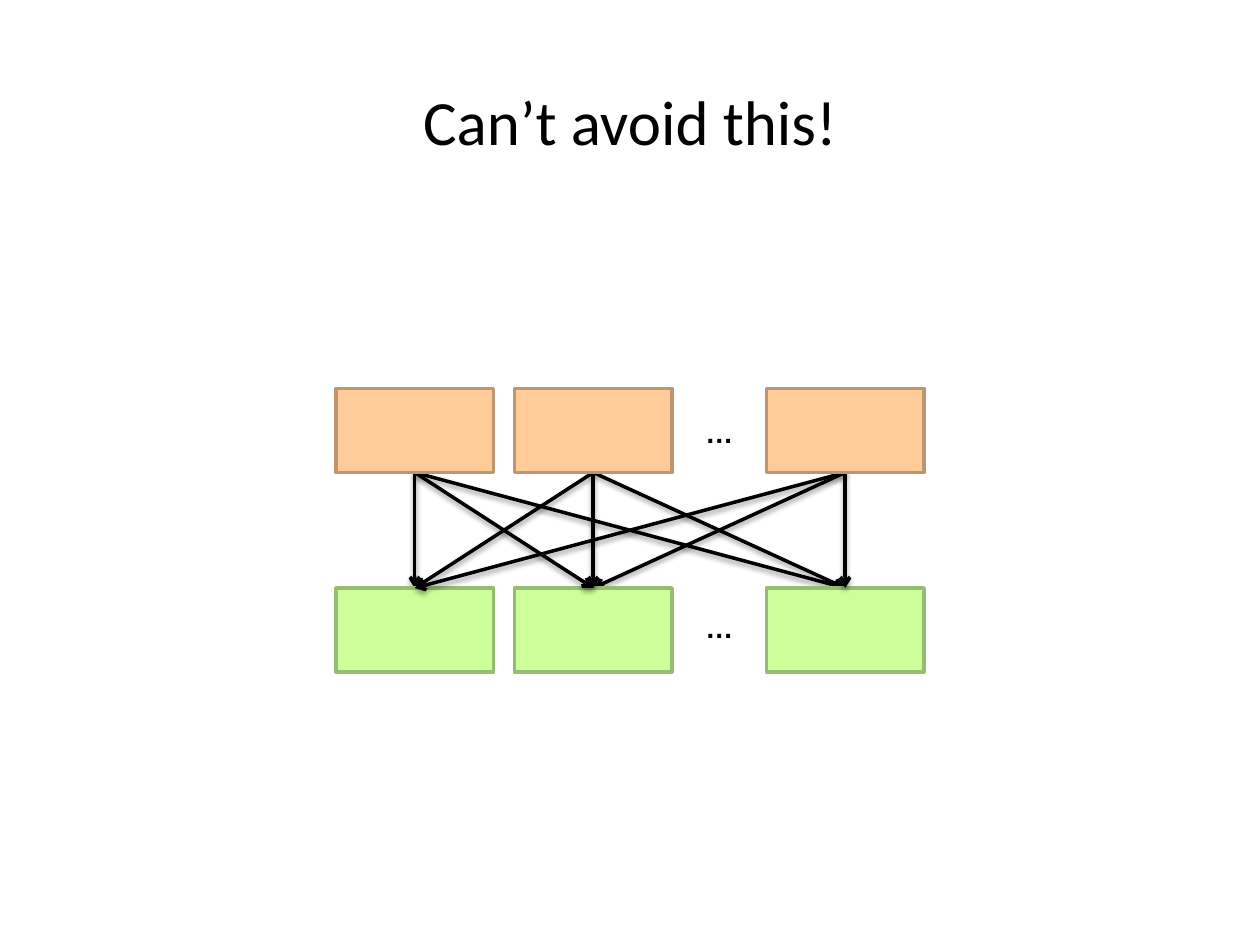
from typing import NamedTuple

from lxml.etree import SubElement
from pptx import Presentation
from pptx.dml.color import RGBColor
from pptx.enum.shapes import MSO_CONNECTOR, MSO_SHAPE
from pptx.enum.text import MSO_ANCHOR, MSO_AUTO_SIZE, PP_ALIGN
from pptx.oxml import parse_xml
from pptx.oxml.ns import nsdecls, qn
from pptx.util import Pt

BLACK = RGBColor(0x00, 0x00, 0x00)
GREEN = RGBColor(0xCC, 0xFF, 0x99)
GREEN_EDGE = RGBColor(0x97, 0xBD, 0x71)
ORANGE = RGBColor(0xFF, 0xCC, 0x99)
ORANGE_EDGE = RGBColor(0xBD, 0x97, 0x71)

BOX_WIDTH, BOX_HEIGHT = 90, 48
COLUMN_LEFTS = (192, 294, 438)
LINE_WIDTH = 2
BOTTOM_SITE, TOP_SITE = 2, 0

SHADOW = (
    f'<a:effectLst {nsdecls("a")}>'
    '<a:outerShdw blurRad="39370" dist="20320" dir="5400000" rotWithShape="0">'
    '<a:srgbClr val="000000"><a:alpha val="38000"/></a:srgbClr>'
    '</a:outerShdw></a:effectLst>'
)


class Row(NamedTuple):
    top: float
    fill: RGBColor
    edge: RGBColor
    dots_top: float


TARGET_ROW = Row(336, GREEN, GREEN_EDGE, 345.6)
SOURCE_ROW = Row(222, ORANGE, ORANGE_EDGE, 234)

# (source column, target column), split by layer
ARROWS_BEHIND_TARGETS = ((0, 0), (0, 2), (1, 0), (1, 2), (2, 1))
ARROWS_OVER_TARGETS = ((0, 1), (1, 1), (2, 0), (2, 2))


def add_box(slide, left: float, row: Row):
    box = slide.shapes.add_shape(
        MSO_SHAPE.RECTANGLE, Pt(left), Pt(row.top), Pt(BOX_WIDTH), Pt(BOX_HEIGHT))
    box.shadow.inherit = False
    box.fill.solid()
    box.fill.fore_color.rgb = row.fill
    box.line.color.rgb = row.edge
    box.line.width = Pt(LINE_WIDTH)
    return box


def add_row(slide, row: Row) -> list:
    """Add boxes from right to left, and return them from left to right."""
    boxes = [add_box(slide, left, row) for left in reversed(COLUMN_LEFTS)]
    return boxes[::-1]


def add_arrow(slide, source, target, layer_above) -> None:
    """Join two boxes, placing the arrow just behind layer_above."""
    arrow = slide.shapes.add_connector(MSO_CONNECTOR.STRAIGHT, 0, 0, 0, 0)
    arrow.begin_connect(source, BOTTOM_SITE)
    arrow.end_connect(target, TOP_SITE)
    arrow.line.color.rgb = BLACK
    arrow.line.width = Pt(LINE_WIDTH)
    SubElement(arrow.line._get_or_add_ln(), qn("a:tailEnd"), type="arrow")
    arrow._element.spPr.append(parse_xml(SHADOW))
    layer_above._element.addprevious(arrow._element)


def add_dots(slide, row: Row) -> None:
    dots = slide.shapes.add_textbox(Pt(396), Pt(row.dots_top), Pt(31), Pt(26.6))
    frame = dots.text_frame
    frame.word_wrap = False
    frame.auto_size = MSO_AUTO_SIZE.SHAPE_TO_FIT_TEXT
    frame.text = "…"
    font = frame.paragraphs[0].runs[0].font
    font.name, font.size, font.bold = "Arial", Pt(16), True
    font.color.rgb = BLACK


def main() -> None:
    presentation = Presentation()
    presentation.slide_width, presentation.slide_height = Pt(720), Pt(540)
    slide = presentation.slides.add_slide(presentation.slide_layouts[5])

    # Title
    title = slide.shapes.title
    title.left, title.top, title.width, title.height = Pt(0), Pt(42), Pt(720), Pt(54)
    title.text_frame.text = "Can’t avoid this!"
    title.text_frame.vertical_anchor = MSO_ANCHOR.MIDDLE
    heading = title.text_frame.paragraphs[0]
    heading.alignment = PP_ALIGN.CENTER
    font = heading.runs[0].font
    font.name, font.size = "Calibri", Pt(36)
    font.color.rgb = BLACK

    # Two rows of boxes
    targets = add_row(slide, TARGET_ROW)
    sources = add_row(slide, SOURCE_ROW)

    # Every source feeds every target
    for pairs, layer_above in ((ARROWS_BEHIND_TARGETS, targets[-1]),
                               (ARROWS_OVER_TARGETS, sources[-1])):
        for source, target in pairs:
            add_arrow(slide, sources[source], targets[target], layer_above)

    # Ellipses for the columns left out
    for row in (SOURCE_ROW, TARGET_ROW):
        add_dots(slide, row)

    presentation.save("out.pptx")


if __name__ == "__main__":
    main()
